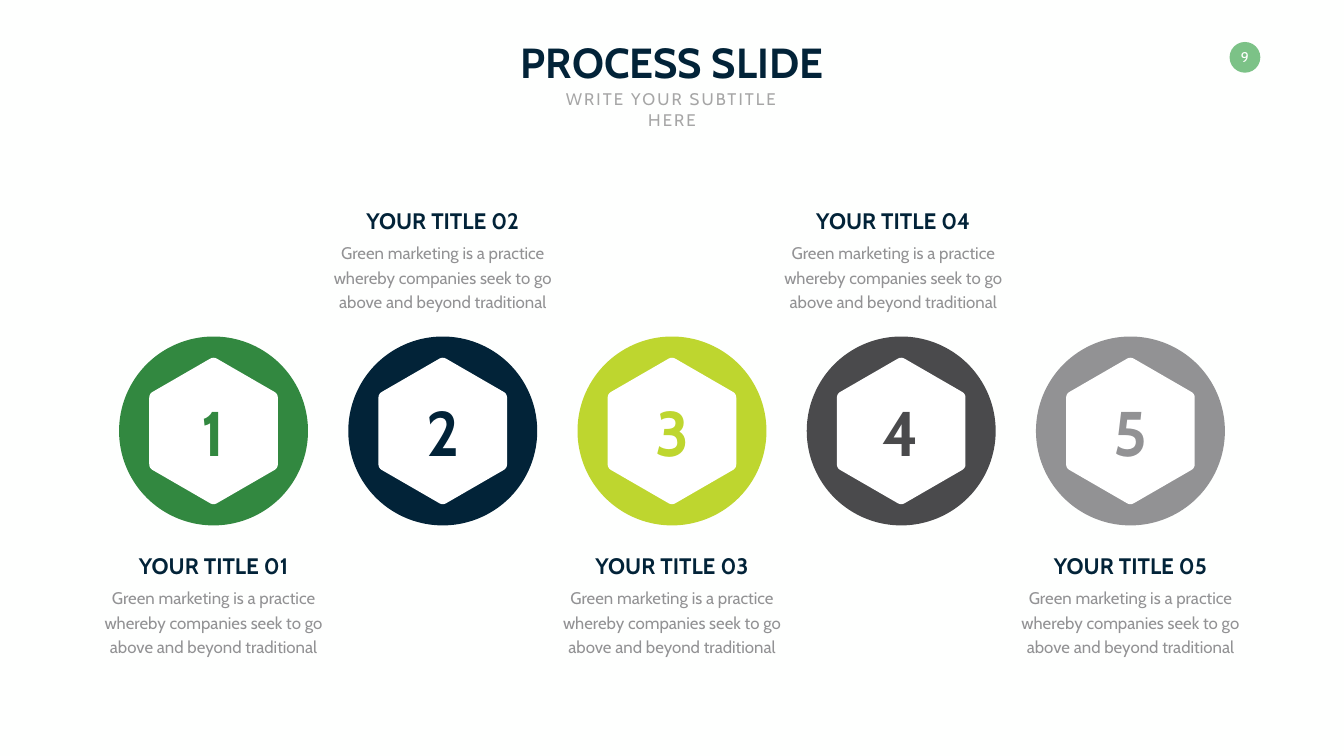
from dataclasses import dataclass
from math import cos, radians, sin

from pptx import Presentation
from pptx.dml.color import RGBColor
from pptx.enum.shapes import MSO_SHAPE
from pptx.enum.text import MSO_ANCHOR, MSO_AUTO_SIZE, PP_ALIGN
from pptx.shapes.base import BaseShape
from pptx.slide import Slide
from pptx.util import Cm, Pt

TOP, MIDDLE, BOTTOM = MSO_ANCHOR.TOP, MSO_ANCHOR.MIDDLE, MSO_ANCHOR.BOTTOM
CENTER = PP_ALIGN.CENTER
NO_FIT = MSO_AUTO_SIZE.NONE
OVAL = MSO_SHAPE.OVAL

PAPER = RGBColor(0xFE, 0xFF, 0xFE)
WHITE = RGBColor(0xFF, 0xFF, 0xFF)
NAVY = RGBColor(0x02, 0x23, 0x38)
GREEN = RGBColor(0x32, 0x88, 0x40)
LIME = RGBColor(0xBE, 0xD6, 0x2F)
COAL = RGBColor(0x4A, 0x4A, 0x4C)
GREY = RGBColor(0x92, 0x92, 0x94)
PALE = RGBColor(0xA6, 0xA6, 0xA6)
MINT = RGBColor(0x7C, 0xC2, 0x87)

FONT = "Cabin"
BODY = "Green marketing is a practice whereby companies seek to go above and beyond traditional"

# Layout in centimetres
WIDE, HIGH = 67.72, 38.1
MID_X, MID_Y = WIDE / 2, 21.72
STEP = 11.55       # between step centres
DISC = 9.52        # disc diameter
HEX = 3.74         # hexagon radius before rounding
ROUND = 0.2        # length cut from each edge at a corner
ABOVE, BELOW = 10.29, 27.66
HEAD_H, BODY_W, BODY_H = 1.62, 13.06, 3.86


@dataclass
class Step:
    color: RGBColor
    top: float
    shift: float = 0


@dataclass
class Style:
    size: float
    color: RGBColor
    bold: bool = False
    anchor: MSO_ANCHOR = TOP
    wrap: bool = False
    space: int = 0             # letter spacing, hundredths of a point
    line: float | None = None  # line height in points


STEPS = [
    Step(GREEN, BELOW),
    Step(NAVY, ABOVE),
    Step(LIME, BELOW),
    Step(COAL, ABOVE, -0.4),
    Step(GREY, BELOW),
]
TITLE = Style(60, NAVY, bold=True)
SUB = Style(24, PALE, wrap=True, space=300)
HEAD = Style(32, NAVY, bold=True, anchor=BOTTOM)
COPY = Style(24, GREY, wrap=True, line=35)
PAGE = Style(20, WHITE, anchor=MIDDLE)


def write(shape: BaseShape, text: str, style: Style) -> None:
    frame = shape.text_frame
    frame.auto_size = NO_FIT
    frame.word_wrap = style.wrap
    frame.vertical_anchor = style.anchor
    para = frame.paragraphs[0]
    para.alignment = CENTER
    if style.line:
        para.line_spacing = Pt(style.line)
    run = para.add_run()
    run.text = text
    font = run.font
    font.name, font.size, font.bold = FONT, Pt(style.size), style.bold
    font.color.rgb = style.color
    if style.space:
        run._r.get_or_add_rPr().set("spc", str(style.space))


def label(slide: Slide, mid: float, top: float, width: float, height: float,
          text: str, style: Style) -> None:
    box = slide.shapes.add_textbox(Cm(mid - width / 2), Cm(top), Cm(width), Cm(height))
    write(box, text, style)


def paint(shape: BaseShape, color: RGBColor) -> None:
    shape.shadow.inherit = False
    shape.fill.solid()
    shape.fill.fore_color.rgb = color
    shape.line.fill.background()


def disc(slide: Slide, x: float, y: float, size: float, color: RGBColor) -> BaseShape:
    shape = slide.shapes.add_shape(OVAL, Cm(x - size / 2), Cm(y - size / 2), Cm(size), Cm(size))
    paint(shape, color)
    return shape


def hexagon(slide: Slide, x: float, y: float) -> None:
    """Draw a point-up hexagon whose corners are short quadratic curves."""
    tips = [(x + HEX * sin(radians(a)), y - HEX * cos(radians(a))) for a in range(0, 360, 60)]
    cut = ROUND / HEX  # each edge is as long as the radius
    points = []
    for i, (tx, ty) in enumerate(tips):
        (px, py), (nx, ny) = tips[i - 1], tips[(i + 1) % 6]
        for k in range(9):
            t = k / 8
            back, ahead = cut * (1 - t) ** 2, cut * t ** 2
            points.append((Cm(tx + back * (px - tx) + ahead * (nx - tx)),
                           Cm(ty + back * (py - ty) + ahead * (ny - ty))))
    build = slide.shapes.build_freeform(*points[0])
    build.add_line_segments(points[1:], close=True)
    paint(build.convert_to_shape(), WHITE)


def draw_step(slide: Slide, i: int, step: Step) -> None:
    x = MID_X + (i - 2) * STEP
    disc(slide, x, MID_Y, DISC, step.color)
    hexagon(slide, x, MID_Y)
    number = Style(90, step.color, bold=True, anchor=MIDDLE)
    label(slide, x, MID_Y - 2.06, 2.6, 4.12, str(i + 1), number)
    mid = x + step.shift
    label(slide, mid, step.top, 8.5, HEAD_H, f"YOUR TITLE 0{i + 1}", HEAD)
    label(slide, mid, step.top + HEAD_H, BODY_W, BODY_H, BODY, COPY)


def main() -> None:
    deck = Presentation()
    deck.slide_width, deck.slide_height = Cm(WIDE), Cm(HIGH)
    slide = deck.slides.add_slide(deck.slide_layouts[5])
    slide.background.fill.solid()
    slide.background.fill.fore_color.rgb = PAPER

    # Page badge
    badge = disc(slide, 62.73, 2.89, 1.55, MINT)
    frame = badge.text_frame
    frame.margin_left = frame.margin_right = frame.margin_top = frame.margin_bottom = 0
    write(badge, "9", PAGE)

    # Title and subtitle
    title = slide.shapes.title
    title.left, title.top = Cm(MID_X - 8.23), Cm(1.7)
    title.width, title.height = Cm(16.46), Cm(2.82)
    write(title, "PROCESS SLIDE", TITLE)
    label(slide, MID_X, 4.37, 13.79, 1.27, "WRITE YOUR SUBTITLE HERE", SUB)

    # Process steps
    for i, step in enumerate(STEPS):
        draw_step(slide, i, step)

    deck.save("out.pptx")


if __name__ == "__main__":
    main()
